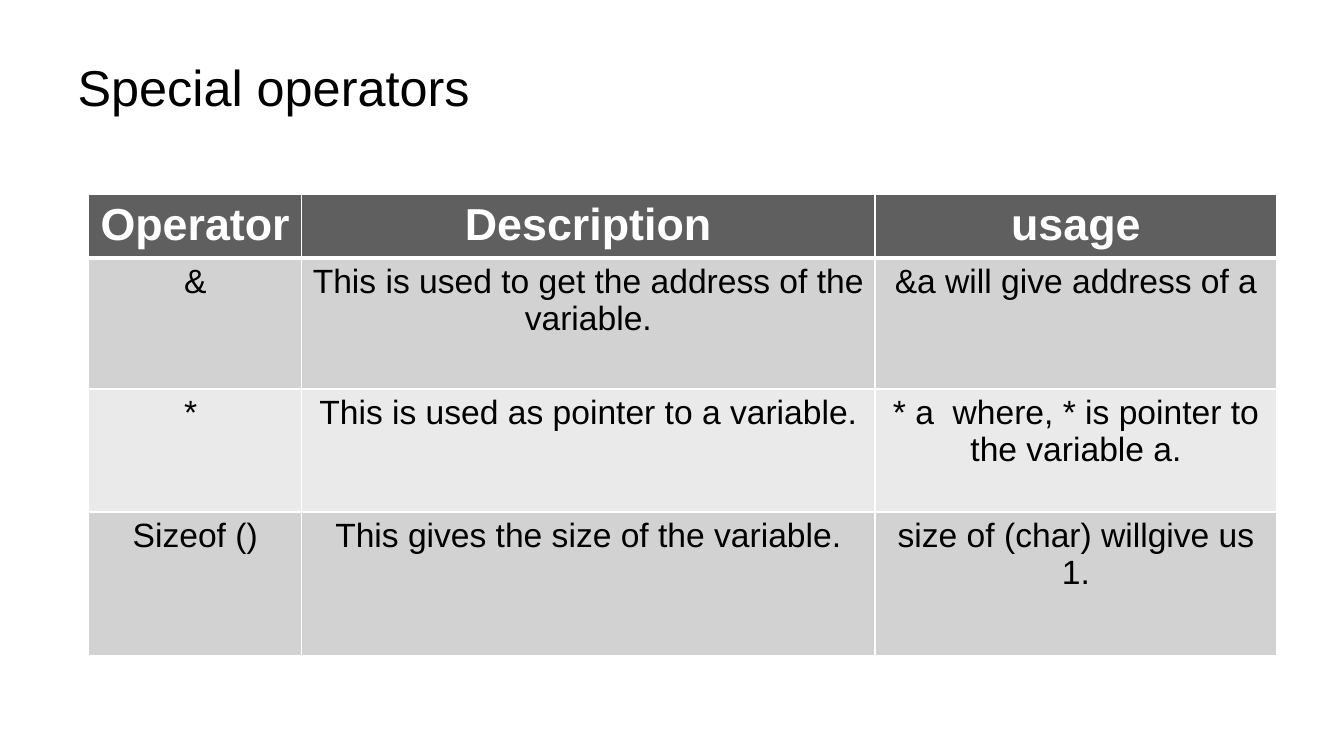
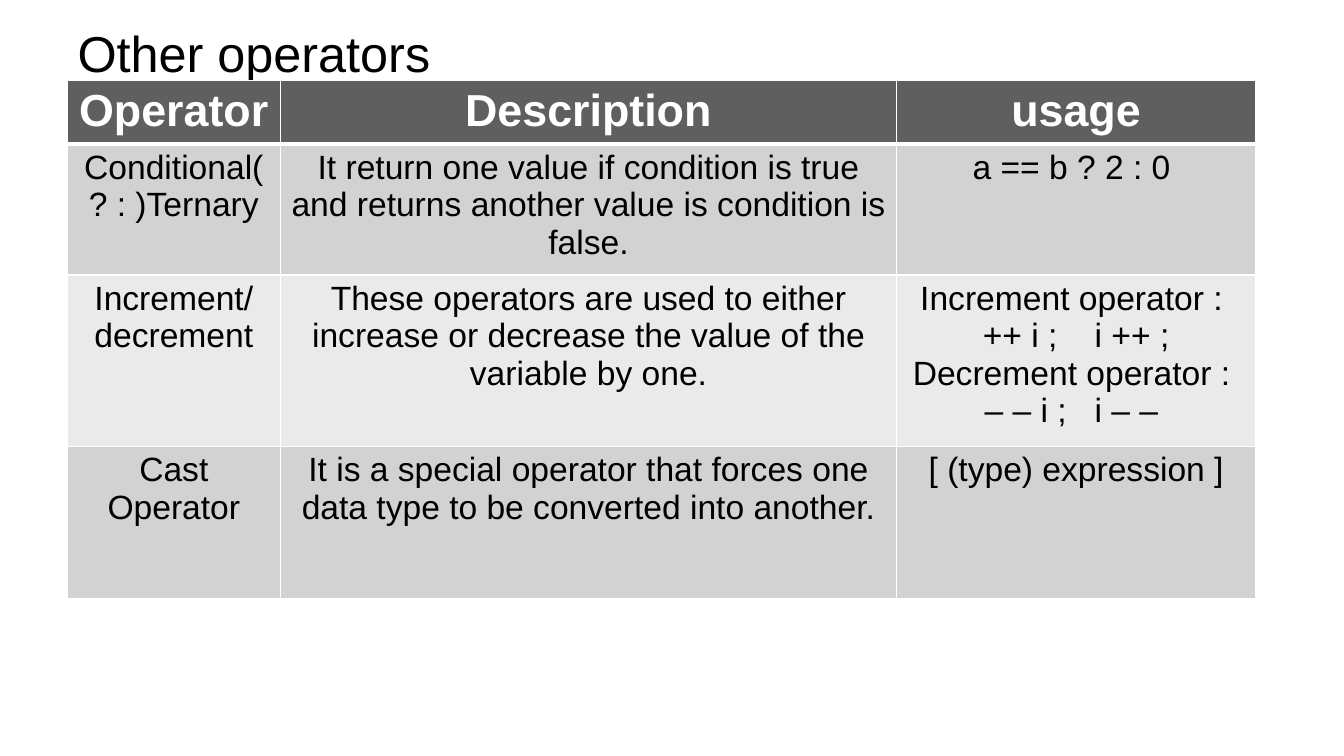
from lxml.etree import SubElement
from pptx import Presentation
from pptx.dml.color import RGBColor
from pptx.enum.text import MSO_ANCHOR, PP_ALIGN
from pptx.oxml.ns import qn
from pptx.util import Cm, Pt

FONT = "Arial"
WHITE, BLACK = "FFFFFF", "000000"
HEADER_FILL = "5F5F5F"
BAND_FILLS = ("D2D2D2", "EAEAEA")
TITLE_ONLY = 5
TITLE_LEFT, TITLE_WIDTH = 1.7, 30.48
TABLE_WIDTH, OPERATOR_WIDTH = 29.94, 5.36
HEADER_HEIGHT = 1.6
THIN, THICK = 1, 3

HEADINGS = ("Operator", "Description", "usage")
SPECIAL_OPERATORS = (
    ("&", "This is used to get the address of the variable.", "&a will give address of a"),
    ("* ", "This is used as pointer to a variable.", "* a  where, * is pointer to the variable a."),
    ("Sizeof ()", "This gives the size of the variable.", "size of (char) willgive us 1."),
)
OTHER_OPERATORS = (
    ("Conditional(? : )Ternary",
     "It return one value if condition is true and returns another value is condition is false.",
     "a == b ? 2 : 0 "),
    ("Increment/\ndecrement",
     "These operators are used to either increase or decrease the value of the variable by one.",
     "Increment operator : \n++ i ;    i ++ ;\nDecrement operator : \n– – i ;   i – – "),
    ("Cast Operator",
     "It is a special operator that forces one data type to be converted into another.",
     "[ (type) expression ]"),
)


def color(value):
    """Turn a hex string into a colour."""
    return RGBColor.from_string(value)


def format_text(frame, size, ink, align, bold=False):
    """Give all the text in a frame one look."""
    for paragraph in frame.paragraphs:
        paragraph.alignment = align
        for run in paragraph.runs:
            run.font.name = FONT
            run.font.size = Pt(size)
            run.font.bold = bold
            run.font.color.rgb = color(ink)


def add_titled_slide(deck, title, top, height):
    """Add a slide with a left-aligned title."""
    slide = deck.slides.add_slide(deck.slide_layouts[TITLE_ONLY])
    heading = slide.shapes.title
    heading.left, heading.top = Cm(TITLE_LEFT), Cm(top)
    heading.width, heading.height = Cm(TITLE_WIDTH), Cm(height)
    heading.text_frame.text = title
    heading.text_frame.vertical_anchor = MSO_ANCHOR.MIDDLE
    format_text(heading.text_frame, 36, BLACK, PP_ALIGN.LEFT)
    return slide


def set_borders(cell, top, bottom):
    """Draw white borders around a cell."""
    properties = cell._tc.get_or_add_tcPr()
    for side, width in (("L", THIN), ("R", THIN), ("T", top), ("B", bottom)):
        line = SubElement(properties, qn(f"a:ln{side}"), w=str(Pt(width)))
        SubElement(SubElement(line, qn("a:solidFill")), qn("a:srgbClr"), val=WHITE)


def style_cell(cell, text, row):
    """Fill a cell as a header or as part of a band."""
    is_header = row == 0
    set_borders(cell, THICK if row == 1 else THIN, THICK if is_header else THIN)
    cell.fill.solid()
    cell.fill.fore_color.rgb = color(HEADER_FILL if is_header else BAND_FILLS[(row - 1) % 2])
    cell.text_frame.text = text
    size, ink = (32, WHITE) if is_header else (24, BLACK)
    format_text(cell.text_frame, size, ink, PP_ALIGN.CENTER, is_header)


def add_operator_table(slide, operators, left, top, description_width, body_heights):
    """Add a table of operators under the shared headings."""
    usage_width = TABLE_WIDTH - OPERATOR_WIDTH - description_width
    widths = (OPERATOR_WIDTH, description_width, usage_width)
    heights = (HEADER_HEIGHT, *body_heights)
    table = slide.shapes.add_table(
        len(heights), len(widths), Cm(left), Cm(top), Cm(TABLE_WIDTH), Cm(sum(heights))
    ).table
    for column, width in zip(table.columns, widths):
        column.width = Cm(width)
    for row, height in zip(table.rows, heights):
        row.height = Cm(height)
    for row, texts in enumerate((HEADINGS, *operators)):
        for column, text in enumerate(texts):
            style_cell(table.cell(row, column), text, row)


def main():
    """Build and save the slides."""
    deck = Presentation()
    deck.slide_width, deck.slide_height = Cm(33.87), Cm(19.05)
    special = add_titled_slide(deck, "Special operators", 0.53, 3.3)
    add_operator_table(special, SPECIAL_OPERATORS, 2.24, 4.9, 14.45, (3.3, 3.1, 3.63))
    other = add_titled_slide(deck, "Other operators", 0, 2.64)
    add_operator_table(other, OTHER_OPERATORS, 1.7, 2.03, 15.54, (3.3, 4.32, 3.84))
    deck.save("out.pptx")


if __name__ == "__main__":
    main()
